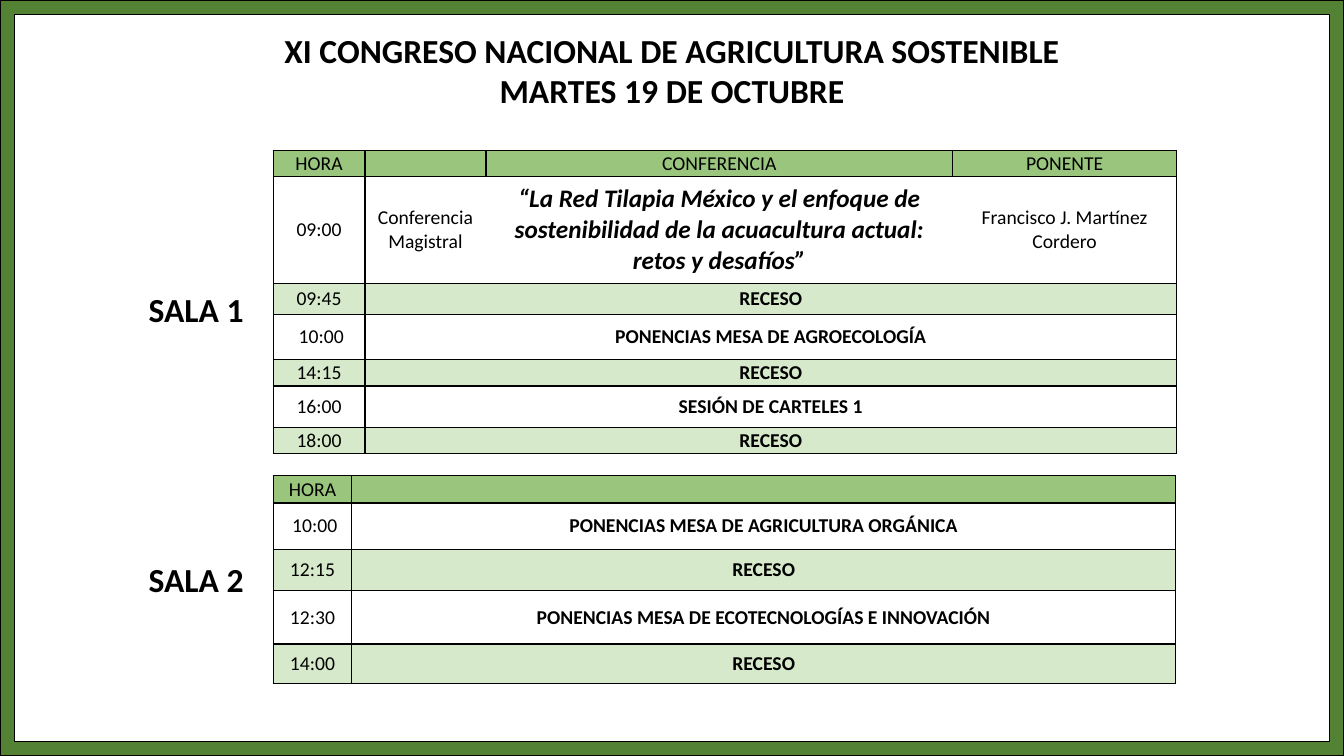
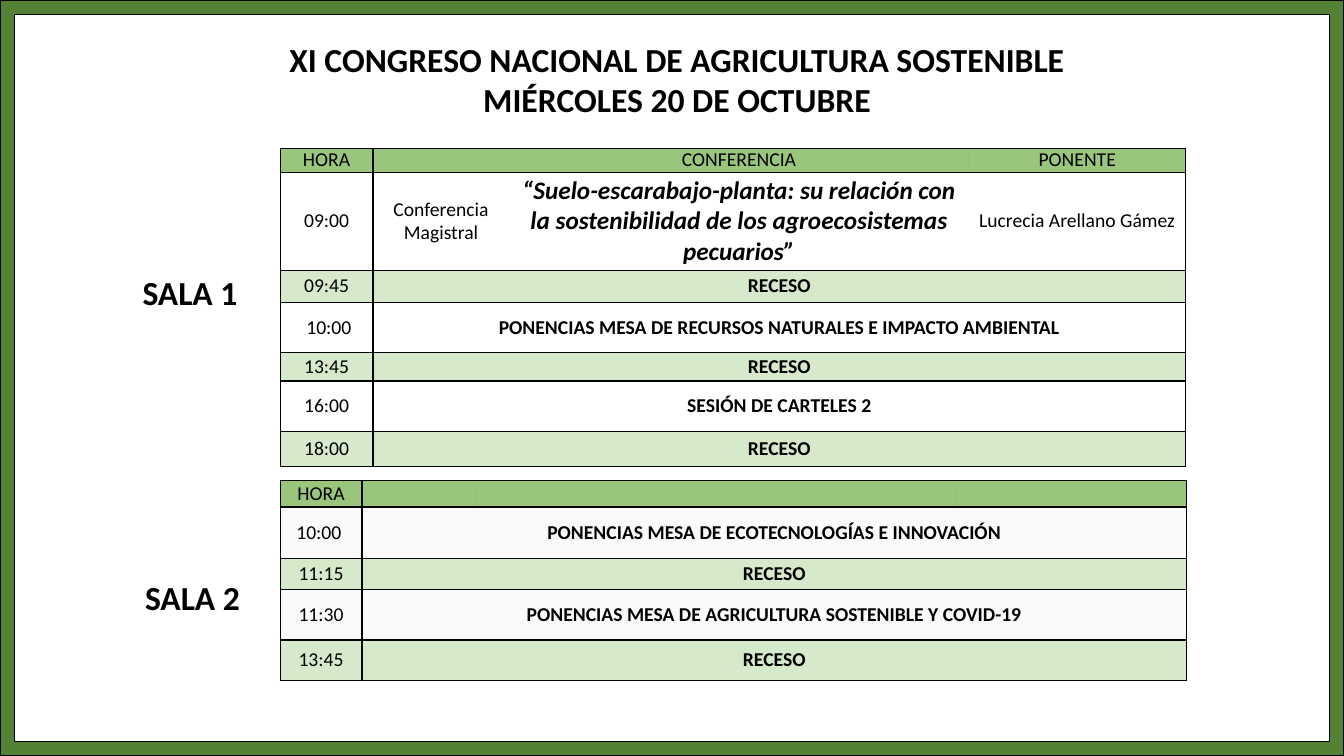
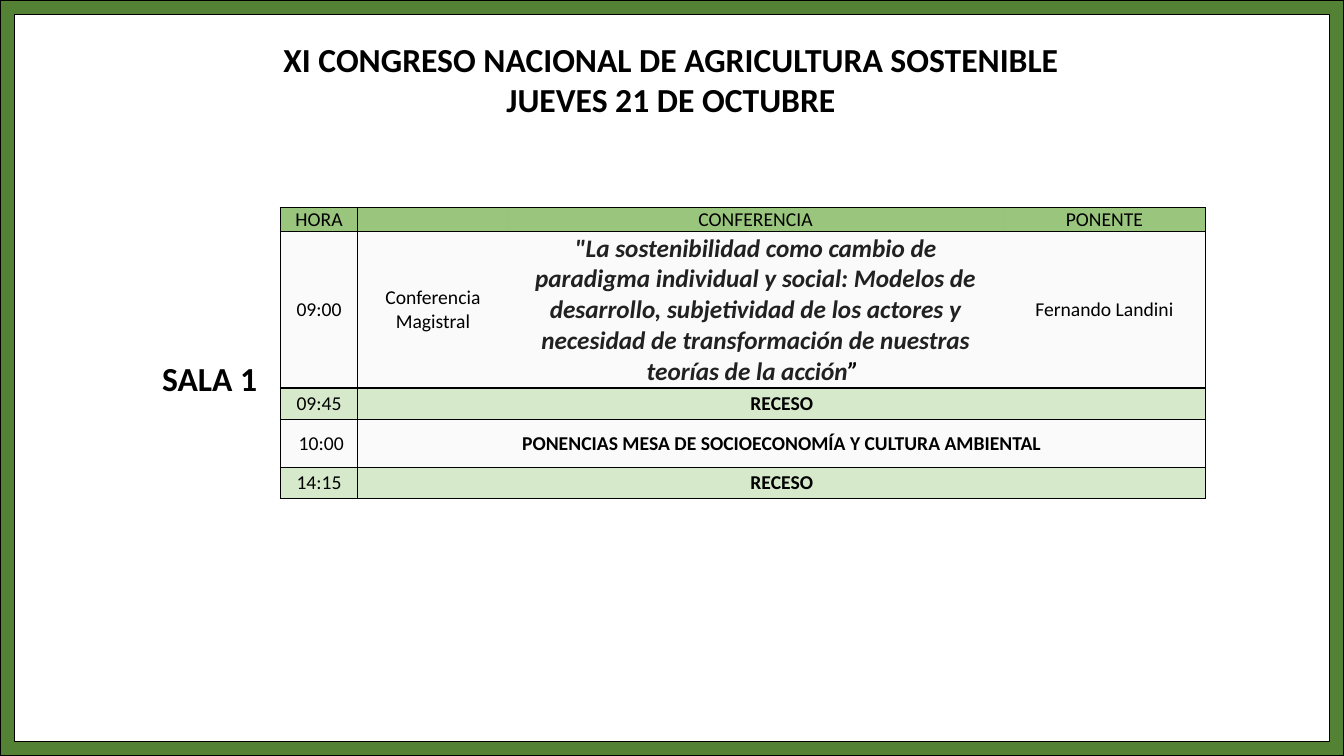
from lxml.etree import SubElement
from pptx import Presentation
from pptx.dml.color import RGBColor as RGB
from pptx.enum.shapes import MSO_SHAPE as Shape
from pptx.enum.text import MSO_ANCHOR as Anchor, PP_ALIGN as Align
from pptx.oxml.ns import qn
from pptx.util import Inches as In, Pt

WIDE, HIGH = 13.33, 7.5
FONT = "Calibri"
HUES = {
    "black": "000000", "ink": "212121", "frame": "548235",
    "head": "70AD47", "break": "C5E0B4", "white": "FFFFFF", "gray": "F8F8F8",
}
EVENT = "XI CONGRESO NACIONAL DE AGRICULTURA SOSTENIBLE"
HEAD = ("HORA", "", "CONFERENCIA", "PONENTE")
KIND = "Conferencia Magistral"
REST = "RECESO"

# Each row: height, then its cells; a short row spans the columns left over.
DAYS = [
    {
        "date": "MARTES 19 DE OCTUBRE", "title": (1.94, 0.24, 9.45),
        "halls": [
            {
                "name": "SALA 1", "label": (1.19, 2.82, 1.51),
                "at": (2.71, 1.49), "cols": (0.91, 1.2, 4.63, 2.22),
                "plain": "white", "lined": True,
                "rows": [
                    (0.26, *HEAD),
                    (1.06, "09:00", KIND,
                     "“La Red Tilapia México y el enfoque de sostenibilidad "
                     "de la acuacultura actual: retos y desafíos”",
                     "Francisco J. Martínez Cordero"),
                    (0.31, "09:45", REST),
                    (0.45, " 10:00", "PONENCIAS MESA DE AGROECOLOGÍA"),
                    (0.26, "14:15", REST),
                    (0.41, "16:00", "SESIÓN DE CARTELES 1"),
                    (0.26, "18:00", REST),
                ],
            },
            {
                "name": "SALA 2", "label": (1.19, 5.5, 1.51),
                "at": (2.71, 4.72), "cols": (0.78, 8.17), "plain": "white",
                "rows": [
                    (0.27, "HORA", ""),
                    (0.46, " 10:00", "PONENCIAS MESA DE AGRICULTURA ORGÁNICA"),
                    (0.41, "12:15", REST),
                    (0.53, "12:30",
                     "PONENCIAS MESA DE ECOTECNOLOGÍAS E INNOVACIÓN"),
                    (0.39, "14:00", REST),
                ],
            },
        ],
    },
    {
        "date": "MIÉRCOLES 20 DE OCTUBRE", "title": (2.35, 0.33, 8.73),
        "halls": [
            {
                "name": "SALA 1", "label": (1.07, 2.65, 1.63),
                "at": (2.78, 1.47), "cols": (0.92, 1.35, 4.56, 2.15),
                "plain": "white",
                "rows": [
                    (0.24, *HEAD),
                    (0.97, "09:00", KIND,
                     "“Suelo-escarabajo-planta: su relación con la "
                     "sostenibilidad de los agroecosistemas pecuarios”",
                     "Lucrecia Arellano Gámez"),
                    (0.32, "09:45", REST),
                    (0.5, " 10:00",
                     "PONENCIAS MESA DE RECURSOS NATURALES E IMPACTO AMBIENTAL"),
                    (0.28, "13:45", REST),
                    (0.5, "16:00", "SESIÓN DE CARTELES 2"),
                    (0.35, "18:00", REST),
                ],
            },
            {
                "name": "SALA 2", "label": (1.13, 5.67, 1.56),
                "at": (2.78, 4.77), "cols": (0.81, 1.13, 4.77, 2.28),
                "plain": "gray",
                "rows": [
                    (0.26, "HORA", "", "", ""),
                    (0.51, "10:00 ",
                     "PONENCIAS MESA DE ECOTECNOLOGÍAS E INNOVACIÓN"),
                    (0.31, "11:15", REST),
                    (0.5, "11:30",
                     "PONENCIAS MESA DE AGRICULTURA SOSTENIBLE Y COVID-19"),
                    (0.4, "13:45", REST),
                ],
            },
        ],
    },
    {
        "date": "JUEVES 21 DE OCTUBRE", "title": (2.45, 0.33, 8.41),
        "halls": [
            {
                "name": "SALA 1", "label": (1.38, 3.5, 1.4),
                "at": (2.78, 2.06), "cols": (0.77, 1.49, 4.91, 2.01),
                "plain": "gray",
                "rows": [
                    (0.24, *HEAD),
                    (1.55, "09:00", KIND,
                     (("\"La sostenibilidad como cambio de paradigma individual "
                       "y social: Modelos de desarrollo, subjetividad de los "
                       "actores y necesidad de transformación de nuestras "
                       "teorías de la acción", "ink"), ("” ", "black")),
                     "Fernando Landini"),
                    (0.31, "09:45", REST),
                    (0.48, " 10:00",
                     "PONENCIAS MESA DE SOCIOECONOMÍA Y CULTURA AMBIENTAL"),
                    (0.31, "14:15", REST),
                ],
            },
        ],
    },
]


def hue(name):
    return RGB.from_string(HUES[name])


def put(frame, *lines, size=14, bold=False, italic=False):
    """Write centred lines; a line is a string or (text, colour) pairs."""
    frame.word_wrap = True
    for i, line in enumerate(lines):
        para = frame.add_paragraph() if i else frame.paragraphs[0]
        para.alignment = Align.CENTER
        pairs = ((line, "black"),) if isinstance(line, str) else line
        for text, ink in pairs:
            if not text:
                continue
            run = para.add_run()
            run.text = text
            font = run.font
            font.name, font.size = FONT, Pt(size)
            font.bold, font.italic = bold, italic
            font.color.rgb = hue(ink)
        SubElement(para._p, qn("a:endParaRPr"), sz=str(size * 100))


def edge(cell, sides):
    """Draw the named sides (of L, R, T, B) and clear the others."""
    props = cell._tc.get_or_add_tcPr()
    for side in "LRTB":
        line = SubElement(props, qn("a:ln" + side), w=str(Pt(1)))
        if side in sides:
            fill = SubElement(line, qn("a:solidFill"))
            SubElement(fill, qn("a:srgbClr"), val=HUES["black"])
        else:
            SubElement(line, qn("a:noFill"))


def tint(cell, name):
    """Fill a cell at 70 % opacity."""
    cell.fill.solid()
    cell.fill.fore_color.rgb = hue(name)
    fill = cell._tc.tcPr.find(qn("a:solidFill"))
    SubElement(fill[0], qn("a:alpha"), val="70000")


def add_grid(slide, hall):
    rows, cols = hall["rows"], hall["cols"]
    last = len(cols) - 1
    size = sum(cols), sum(row[0] for row in rows)
    table = slide.shapes.add_table(
        len(rows), len(cols), *map(In, hall["at"] + size)).table
    table.first_row = table.horz_banding = False
    for col, width in zip(table.columns, cols):
        col.width = In(width)
    for r, (high, *texts) in enumerate(rows):
        table.rows[r].height = In(high)
        pair = len(texts) == 2
        full = pair or (r == 0 and hall.get("lined"))
        shade = "head" if r == 0 else "break" if REST in texts else hall["plain"]
        texts += [""] * (last + 1 - len(texts))
        for c, text in enumerate(texts):
            cell = table.cell(r, c)
            cell.margin_left = cell.margin_right = In(0.07)
            cell.margin_top = cell.margin_bottom = 0
            cell.vertical_anchor = Anchor.MIDDLE
            left = "L" if full or c < 2 else ""
            right = "R" if full or c in (0, last) else ""
            edge(cell, "TB" + left + right)
            tint(cell, shade)
            talk = r > 0 and c == 2 and not pair
            put(cell.text_frame, text, size=18 if talk else 14,
                bold=talk or (pair and c == 1), italic=talk)
        if pair and last > 1:
            table.cell(r, 1).merge(table.cell(r, last))


def add_frame(slide):
    frame = slide.shapes.add_shape(Shape.FRAME, 0, 0, In(WIDE), In(HIGH))
    frame.adjustments[0] = 0.019
    frame.shadow.inherit = False
    frame.fill.solid()
    frame.fill.fore_color.rgb = hue("frame")
    frame.line.color.rgb = hue("black")
    frame.line.width = Pt(1)


def add_day(deck, day):
    slide = deck.slides.add_slide(deck.slide_layouts[5])
    add_frame(slide)
    title = slide.shapes.title
    title.left, title.top, title.width = map(In, day["title"])
    title.height = In(0.91)
    put(title.text_frame, EVENT, day["date"], size=24, bold=True)
    for hall in day["halls"]:
        label = slide.shapes.add_textbox(*map(In, hall["label"]), In(0.5))
        put(label.text_frame, hall["name"], size=24, bold=True)
        add_grid(slide, hall)


def main():
    deck = Presentation()
    deck.slide_width, deck.slide_height = In(WIDE), In(HIGH)
    for day in DAYS:
        add_day(deck, day)
    deck.save("out.pptx")


if __name__ == "__main__":
    main()
